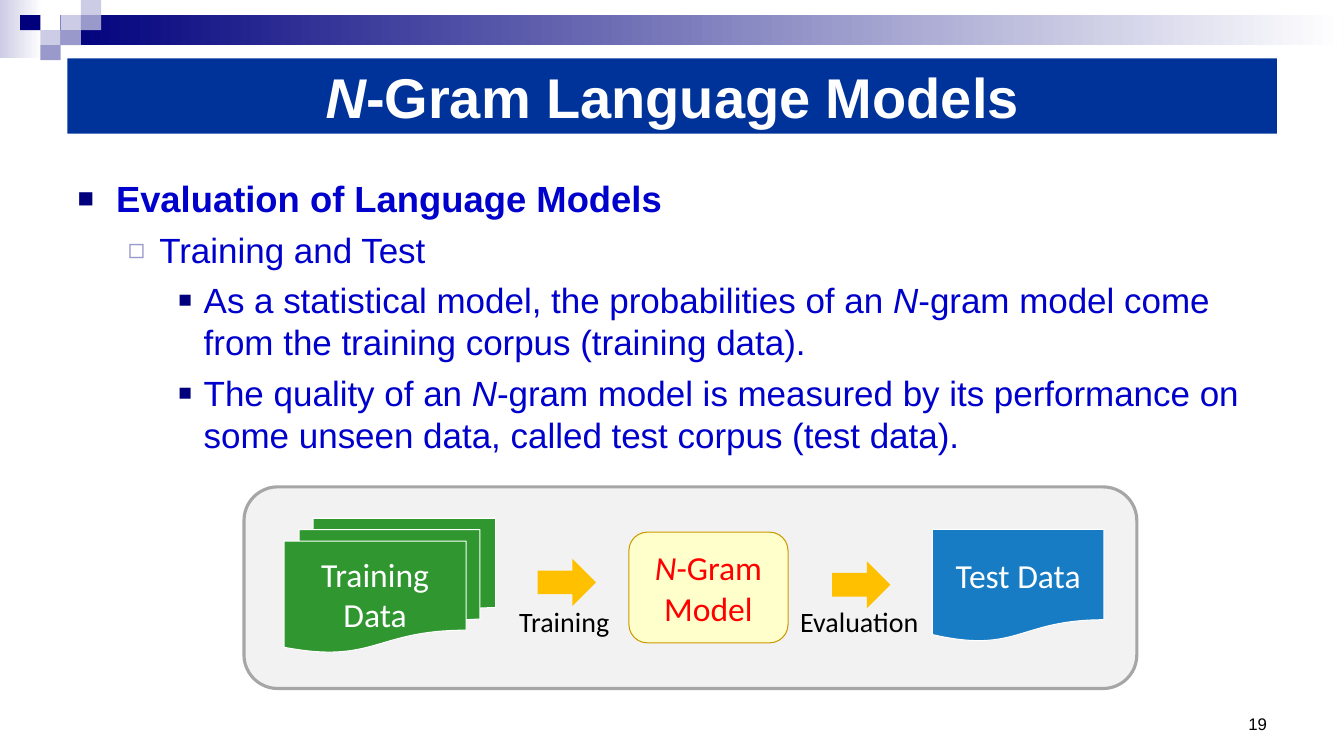
"""Builds the slide on evaluating N-gram language models."""
from lxml.etree import SubElement
from pptx import Presentation
from pptx.dml.color import RGBColor
from pptx.enum.shapes import MSO_SHAPE as SHAPE
from pptx.enum.text import MSO_ANCHOR as ANCHOR, MSO_AUTO_SIZE as AUTO, PP_ALIGN as ALIGN
from pptx.oxml.ns import qn
from pptx.util import Cm, Pt

NAVY = RGBColor(0x00, 0x00, 0x7D)
LILAC = RGBColor(0x99, 0x99, 0xCC)
PALE = RGBColor(0xCC, 0xCC, 0xE6)
WHITE = RGBColor(0xFF, 0xFF, 0xFF)
BLACK = RGBColor(0x00, 0x00, 0x00)
TITLE_BLUE = RGBColor(0x00, 0x33, 0x99)
TEXT_BLUE = RGBColor(0x00, 0x00, 0xCC)
PANEL = RGBColor(0xF2, 0xF2, 0xF2)
GREY = RGBColor(0xA6, 0xA6, 0xA6)
GREEN = RGBColor(0x00, 0x80, 0x00)
BLUE = RGBColor(0x00, 0x70, 0xC0)
CREAM = RGBColor(0xFF, 0xFF, 0xCC)
OCHRE = RGBColor(0xCC, 0x99, 0x00)
RED = RGBColor(0xFF, 0x00, 0x00)
AMBER = RGBColor(0xFF, 0xC0, 0x00)

SQUARE_W, SQUARE_H = 0.51, 0.38
SQUARES = [(3, 1, PALE), (4, 0, PALE), (4, 1, LILAC), (2, 2, PALE),
           (1, 1, NAVY), (3, 2, LILAC), (2, 3, LILAC)]
LEVELS = [(0.97, 0.97, "■", NAVY, 75), (2.06, 0.79, "◻", LILAC, 80),
          (3.18, 0.64, "■", NAVY, 65)]
BULLETS = [
    (0, "Evaluation of Language Models", 26, True),
    (1, "Training and Test", 25, False),
    (2, "As a statistical model, the probabilities of an *N*-gram model come "
        "from the training corpus (training data).", 25, False),
    (2, "The quality of an *N*-gram model is measured by its performance on "
        "some unseen data, called test corpus (test data).", 25, False),
]


def place(sp, box):
    """Move and size a shape to a (left, top, width, height) box in cm."""
    sp.left, sp.top, sp.width, sp.height = map(Cm, box)


def write(p, text, size, color, font="Arial", bold=False):
    """Fill a paragraph, setting the parts between asterisks in italics."""
    for i, part in enumerate(text.split("*")):
        if part:
            r = p.add_run()
            r.text = part
            r.font.name, r.font.size = font, Pt(size)
            r.font.bold, r.font.italic = bold, i % 2 == 1
            r.font.color.rgb = color


def write_lines(tf, text, size, color, font="Calibri", align=ALIGN.CENTER):
    """Write each line of the text as its own paragraph."""
    for i, line in enumerate(text.split("\n")):
        p = tf.add_paragraph() if i else tf.paragraphs[0]
        p.alignment = align
        write(p, line, size, color, font)


def add_shape(s, kind, box, fill, line=None, width=0.75, alpha=None):
    """Add a flat preset shape."""
    sp = s.shapes.add_shape(kind, *map(Cm, box))
    sp.shadow.inherit = False
    sp.fill.solid()
    sp.fill.fore_color.rgb = fill
    if alpha:
        color = sp.fill._xPr.find(".//" + qn("a:srgbClr"))
        SubElement(color, qn("a:alpha")).set("val", str(alpha * 1000))
    if line is None:
        sp.line.fill.background()
    else:
        sp.line.color.rgb, sp.line.width = line, Pt(width)
    return sp


def add_fade(s, box, start):
    """Add a rectangle that fades from a colour to white."""
    sp = add_shape(s, SHAPE.RECTANGLE, box, start)
    sp.fill.gradient()
    sp.fill.gradient_angle = 0
    for stop, color in zip(sp.fill.gradient_stops, (start, WHITE)):
        stop.color.rgb = color


def add_node(s, kind, box, text, color, fill, line, alpha=None):
    """Add a labelled step of the diagram."""
    tf = add_shape(s, kind, box, fill, line, alpha=alpha).text_frame
    tf.word_wrap = False
    tf.vertical_anchor = ANCHOR.MIDDLE
    write_lines(tf, text, 24, color)


def add_label(s, box, text, size, **style):
    """Add a black text box."""
    tf = s.shapes.add_textbox(*map(Cm, box)).text_frame
    tf.word_wrap = True
    write_lines(tf, text, size, BLACK, **style)
    return tf


def add_bullet(p, level):
    """Give a paragraph the indent and bullet of its level."""
    margin, hang, char, color, size = LEVELS[level]
    p.level = level
    pPr = p._p.get_or_add_pPr()
    pPr.set("marL", str(Cm(margin)))
    pPr.set("indent", str(-Cm(hang)))
    clr = SubElement(pPr, qn("a:buClr"))
    SubElement(clr, qn("a:srgbClr")).set("val", str(color))
    SubElement(pPr, qn("a:buSzPct")).set("val", str(size * 1000))
    SubElement(pPr, qn("a:buChar")).set("char", char)


def fill_title(sp):
    """Format the title bar."""
    place(sp, (1.7, 1.47, 30.48, 1.9))
    sp.fill.solid()
    sp.fill.fore_color.rgb = TITLE_BLUE
    tf = sp.text_frame
    tf.auto_size = AUTO.NONE
    tf.vertical_anchor = ANCHOR.MIDDLE
    p = tf.paragraphs[0]
    p.alignment = ALIGN.CENTER
    write(p, "*N*-Gram Language Models", 40, WHITE, bold=True)


def fill_body(sp):
    """Write the bulleted list."""
    place(sp, (1.7, 4.32, 30.48, 13.54))
    tf = sp.text_frame
    tf.auto_size = AUTO.NONE
    for i, (level, text, size, bold) in enumerate(BULLETS):
        p = tf.add_paragraph() if i else tf.paragraphs[0]
        add_bullet(p, level)
        p.space_before = Pt(6 if i else 0)
        write(p, text, size, TEXT_BLUE, bold=bold)


def add_decoration(s):
    """Draw the fading bands and the squares at the top."""
    add_fade(s, (0, 0, 1.07, 1.47), PALE)
    add_fade(s, (1.52, 0.38, 32.34, 0.76), NAVY)
    for col, row, color in SQUARES:
        box = (col * SQUARE_W, row * SQUARE_H, SQUARE_W, SQUARE_H)
        add_shape(s, SHAPE.RECTANGLE, box, color)


def add_diagram(s):
    """Draw the path from training data to test data."""
    add_shape(s, SHAPE.ROUNDED_RECTANGLE, (6.15, 12.27, 22.5, 5.08), PANEL, GREY, 2.25)
    add_node(s, SHAPE.FLOWCHART_MULTIDOCUMENT, (7.16, 13.06, 5.33, 3.38),
             "Training\nData", WHITE, GREEN, WHITE, 80)
    add_node(s, SHAPE.FLOWCHART_DOCUMENT, (23.5, 13.34, 4.32, 2.84),
             "Test Data", WHITE, BLUE, WHITE, 90)
    add_node(s, SHAPE.FLOWCHART_ALTERNATE_PROCESS, (15.85, 13.41, 4.01, 2.79),
             "*N*-Gram\nModel", RED, CREAM, OCHRE)
    add_label(s, (12.62, 15.11, 3.2, 1.12), "Training", 20)
    add_label(s, (19.89, 15.11, 3.53, 1.12), "Evaluation", 20)
    for left, top in ((13.55, 14.08), (20.97, 14.14)):
        add_shape(s, SHAPE.RIGHT_ARROW, (left, top, 1.47, 1.19), AMBER)


def main():
    """Build and save the slide."""
    prs = Presentation()
    prs.slide_width, prs.slide_height = Cm(33.87), Cm(19.05)
    s = prs.slides.add_slide(prs.slide_layouts[1])
    add_decoration(s)
    fill_title(s.shapes.title)
    fill_body(s.placeholders[1])
    add_diagram(s)
    tf = add_label(s, (28.22, 17.35, 3.96, 1.27), "19", 12, font="Arial", align=ALIGN.RIGHT)
    tf.vertical_anchor = ANCHOR.BOTTOM
    prs.save("out.pptx")


if __name__ == "__main__":
    main()
